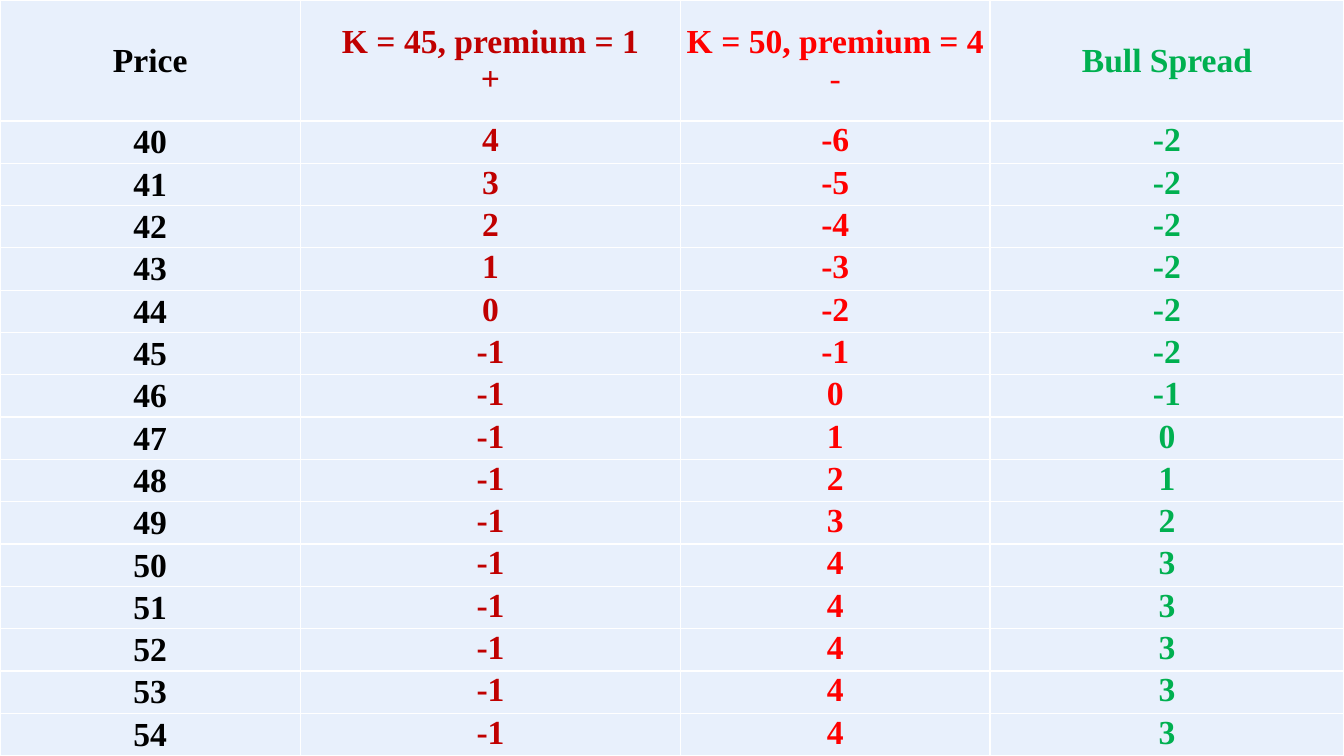
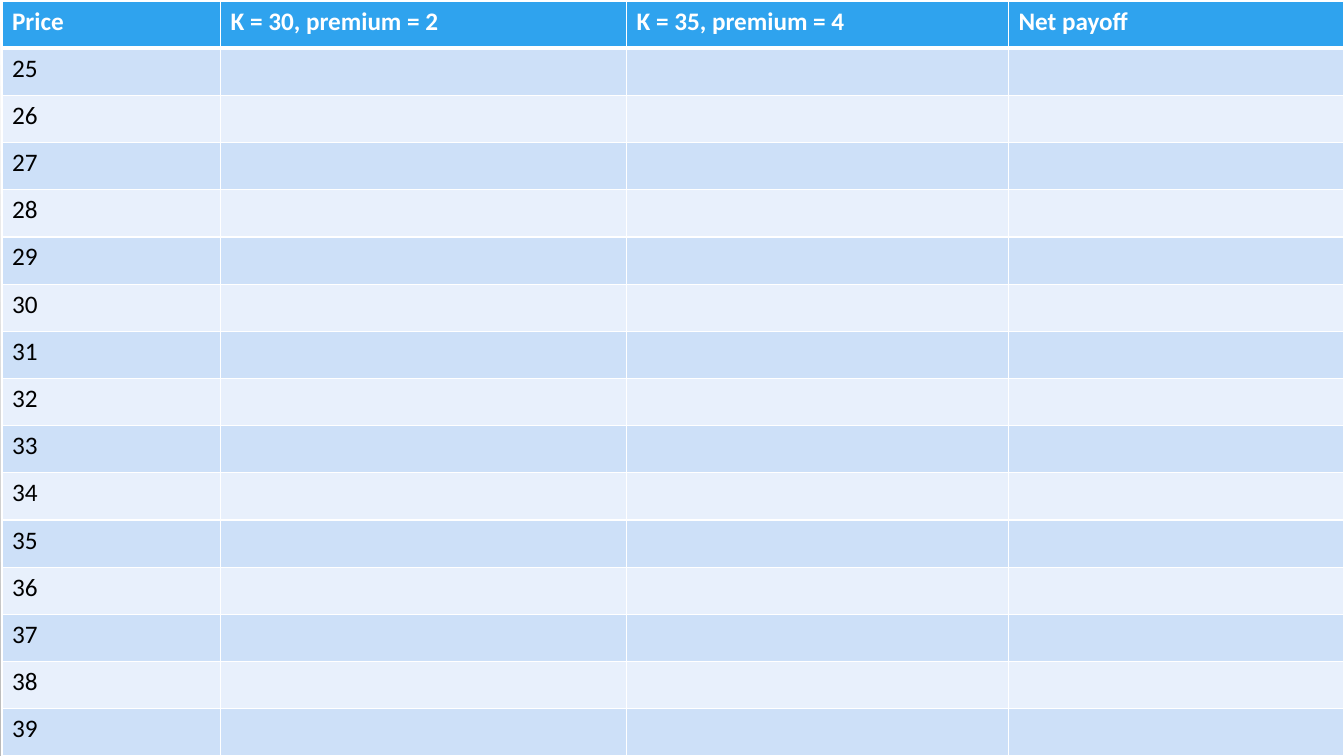
from dataclasses import dataclass

from lxml.etree import SubElement
from pptx import Presentation
from pptx.dml.color import RGBColor
from pptx.enum.text import MSO_ANCHOR, PP_ALIGN
from pptx.oxml.ns import qn
from pptx.util import Inches, Pt


@dataclass(frozen=True)
class Theme:
    wide: int = Pt(960)
    high: int = Pt(540)
    white: str = "FFFFFF"
    gray: str = "B9B9B9"
    black: str = "000000"
    dark: str = "C00000"
    red: str = "FF0000"
    green: str = "00B050"
    blue: str = "2FA3EE"
    band: str = "CDE0F8"
    pale: str = "E8F0FC"
    serif: str = "Times New Roman"
    sans: str = "Calibri"
    big: int = 24
    small: int = 18
    thin: int = 1
    thick: int = 3


THEME = Theme()


def tint(master):
    fill = master.background.fill
    fill.gradient()
    fill.gradient_angle = 270
    ends = ((0, THEME.white), (1, THEME.gray))
    for stop, (place, color) in zip(fill.gradient_stops, ends):
        stop.position = place
        stop.color.rgb = RGBColor.from_string(color)


def border(cell, base):
    props = cell._tc.get_or_add_tcPr()
    for side in ("lnL", "lnR", "lnT", "lnB"):
        width = base if side == "lnB" else THEME.thin
        line = SubElement(props, qn(f"a:{side}"), w=str(Pt(width)))
        solid = SubElement(line, qn("a:solidFill"))
        SubElement(solid, qn("a:srgbClr"), val=THEME.white)


def paint(cell, color, base=THEME.thin):
    border(cell, base)
    cell.fill.solid()
    cell.fill.fore_color.rgb = RGBColor.from_string(color)


def write(cell, lines, face, size, color, bold=True, align=PP_ALIGN.LEFT):
    frame = cell.text_frame
    for index, text in enumerate(lines):
        para = frame.add_paragraph() if index else frame.paragraphs[0]
        para.alignment = align
        run = para.add_run()
        run.text = text
        font = run.font
        font.name, font.size = face, Pt(size)
        font.bold = bold and text != "-"
        font.color.rgb = RGBColor.from_string(color)


def inset(cell):
    cell.margin_left = cell.margin_right = cell.margin_top = Inches(0.01)
    cell.margin_bottom = 0


def share(parts, total):
    return [round(total * part / sum(parts)) for part in parts]


def grid(deck, left, top, cols, rows):
    slide = deck.slides.add_slide(deck.slide_layouts[6])
    wide, high = THEME.wide - left, THEME.high - top
    table = slide.shapes.add_table(
        len(rows), len(cols), left, top, wide, high).table
    table.horz_banding = False
    for col, width in zip(table.columns, share(cols, wide)):
        col.width = width
    for row, height in zip(table.rows, share(rows, high)):
        row.height = height
    return table


def payoff(price):
    long = max(45 - price, 0) - 1
    short = 4 - max(50 - price, 0)
    return price, long, short, long + short


def spread(deck):
    heads = (("Price",), ("K = 45, premium = 1", "+"),
             ("K = 50, premium = 4", "-"), ("Bull Spread",))
    inks = (THEME.black, THEME.dark, THEME.red, THEME.green)
    body = [[(str(value),) for value in payoff(price)]
            for price in range(40, 55)]
    table = grid(deck, 0, 0, (2.98, 3.77, 3.07, 3.51), [20] + [7] * 15)
    for r, row in enumerate([heads] + body):
        for c, lines in enumerate(row):
            cell = table.cell(r, c)
            paint(cell, THEME.pale)
            inset(cell)
            if r == 0 or c == 0:
                cell.vertical_anchor = MSO_ANCHOR.MIDDLE
            write(cell, lines, THEME.serif, THEME.big, inks[c],
                  align=PP_ALIGN.CENTER)


def blank(deck):
    heads = ("Price", "K = 30, premium = 2", "K = 35, premium = 4",
             "Net payoff")
    table = grid(deck, Inches(0.02), Inches(0.01),
                 (2.17, 4.03, 3.79, 3.33), [1] * 16)
    for c, head in enumerate(heads):
        cell = table.cell(0, c)
        paint(cell, THEME.blue, THEME.thick)
        write(cell, (head,), THEME.sans, THEME.small, THEME.white)
    for r, price in enumerate(range(25, 40), 1):
        for c in range(len(heads)):
            paint(table.cell(r, c), THEME.band if r % 2 else THEME.pale)
        write(table.cell(r, 0), (str(price),), THEME.sans, THEME.small,
              THEME.black, bold=False)


def main():
    deck = Presentation()
    deck.slide_width, deck.slide_height = THEME.wide, THEME.high
    tint(deck.slide_master)
    spread(deck)
    blank(deck)
    deck.save("out.pptx")


if __name__ == "__main__":
    main()
